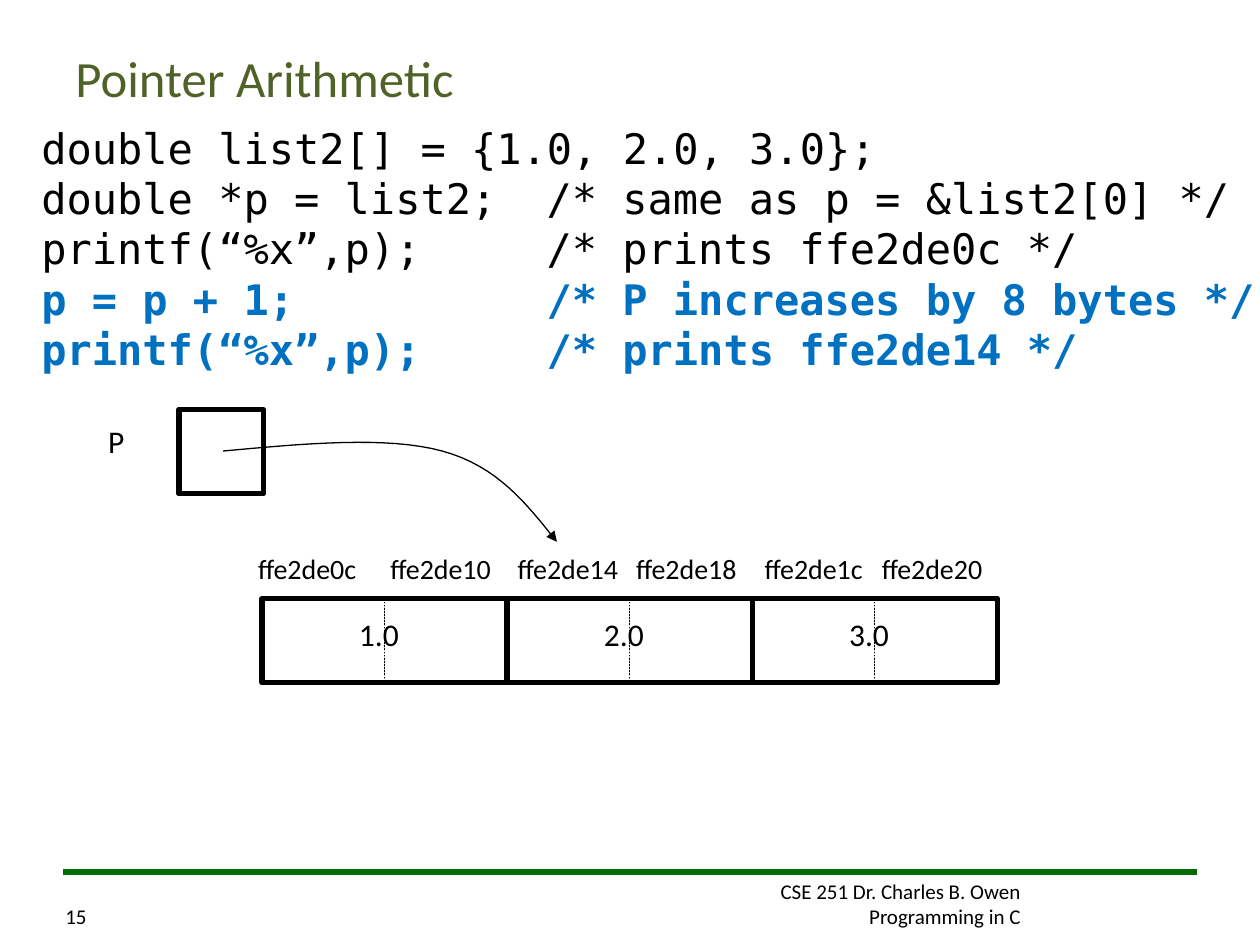
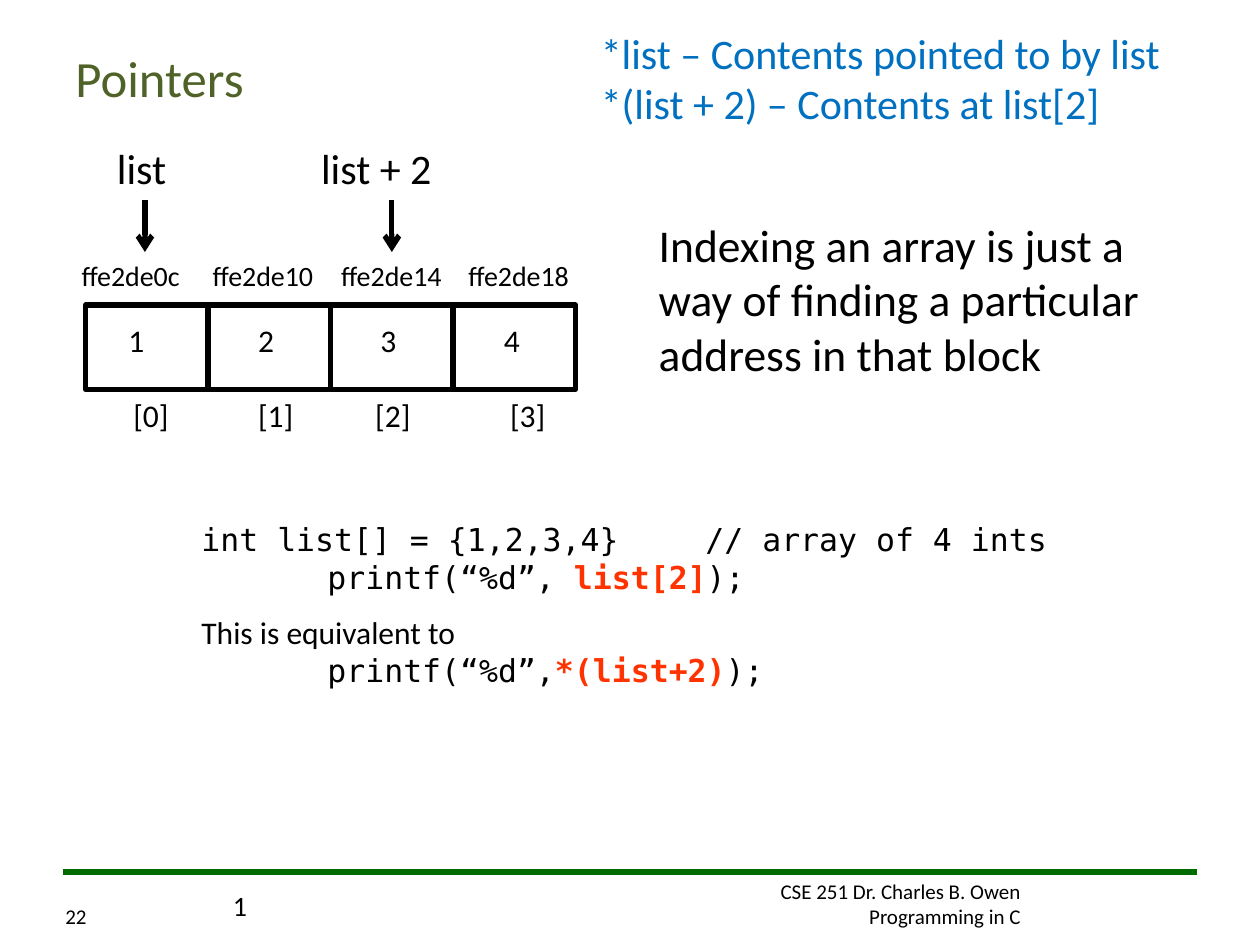
from lxml.etree import SubElement
from pptx import Presentation
from pptx.dml.color import RGBColor
from pptx.enum.dml import MSO_LINE
from pptx.enum.shapes import MSO_CONNECTOR, MSO_SHAPE
from pptx.enum.text import MSO_ANCHOR, PP_ALIGN
from pptx.oxml.ns import qn
from pptx.util import Inches, Pt

COLORS = {"black": "000000", "title": "4F6228", "rule": "006C00",
          "blue": "0070C0", "red": "FF3300", "gray": "C0C0C0"}
SANS, MONO = "Calibri", "DejaVu Sans Mono"
FOOTER = ["CSE 251 Dr. Charles B. Owen", "Programming in C"]

DOUBLE_CODE = [
    ("double list2[] = {1.0, 2.0, 3.0};", False),
    ("double *p = list2;\t/* same as p = &list2[0] */", False),
    ("printf(“%x”,p);\t/* prints ffe2de0c */", False),
    ("p = p + 1;\t/* P increases by 8 bytes */", True),
    ("printf(“%x”,p);\t/* prints ffe2de14 */", True),
]
DOUBLE_VALUES = ["1.0", "2.0", "3.0"]
DOUBLE_ADDRESSES = [("ffe2de0c", 1.95), ("ffe2de10", 3), ("ffe2de14", 4.01),
                    ("ffe2de18", 4.95), ("ffe2de1c", 5.97), ("ffe2de20", 6.9)]
POINTER_CURVE = [
    [(1.77, 3.58), (2.42, 3.52), (3.07, 3.46), (3.51, 3.58)],
    [(3.51, 3.58), (3.95, 3.7), (4.18, 4), (4.42, 4.3)],
]

INT_VALUES = [("1", 0.92), ("2", 1.95), ("3", 2.92), ("4", 3.9)]
INT_INDEXES = [("[0]", 0.96), ("[1]", 1.95), ("[2]", 2.88), ("[3]", 3.95)]
INT_ADDRESSES = [("ffe2de0c", 0.55), ("ffe2de10", 1.59), ("ffe2de14", 2.61), ("ffe2de18", 3.62)]
POINTERS = [("list", 0.83, 1.15), ("list + 2", 2.45, 3.11)]
DEREFERENCES = ["*list – Contents pointed to by list", "*(list + 2) – Contents at list[2]"]
INDEXING = "Indexing an array is just a way of finding a particular address in that block"
INT_CODE = [
    (MONO, 0, [("int list[] = {1,2,3,4}\t// array of 4 ints", False)]),
    (MONO, 0, [("\tprintf(“%d”, ", False), ("list[2]", True), (");", False)]),
    (SANS, 9.7, [("This is equivalent to", False)]),
    (MONO, 0, [("\tprintf(“%d”,", False), ("*(list+2)", True), (");", False)]),
]

CELL_W, CELL_H = 0.97, 0.67
DOUBLE_W = 1.945


def rgb(name):
    return RGBColor.from_string(COLORS[name])


def style(font, size, color="black", name=SANS, bold=False):
    font.size, font.name, font.bold = Pt(size), name, bold
    font.color.rgb = rgb(color)


def set_tabs(p, stops):
    tabs = SubElement(p._p.get_or_add_pPr(), qn("a:tabLst"))
    for stop in stops:
        SubElement(tabs, qn("a:tab"), pos=str(Inches(stop)), algn="l")


def add_frame(slide, x, y, w, h):
    tf = slide.shapes.add_textbox(Inches(x), Inches(y), Inches(w), Inches(h)).text_frame
    tf.word_wrap = True
    return tf


def add_paragraph(tf, first):
    return tf.paragraphs[0] if first else tf.add_paragraph()


def add_text(slide, lines, x, y, w, h, size, color="black", align=PP_ALIGN.LEFT):
    tf = add_frame(slide, x, y, w, h)
    for i, line in enumerate(lines):
        p = add_paragraph(tf, i == 0)
        p.text, p.alignment = line, align
        style(p.font, size, color)
    return tf


def add_labels(slide, labels, y, w, size):
    for text, x in labels:
        add_text(slide, [text], x, y, w, 0.4, size)


def set_line(line, color, width):
    line.color.rgb, line.width = rgb(color), Pt(width)


def add_arrowhead(sp, kind):
    SubElement(sp.line._get_or_add_ln(), qn("a:tailEnd"), type=kind)


def add_box(slide, x, y, w, h, color="black", width=3, dashed=False):
    sp = slide.shapes.add_shape(MSO_SHAPE.RECTANGLE, Inches(x), Inches(y), Inches(w), Inches(h))
    sp.shadow.inherit = False
    sp.fill.background()
    set_line(sp.line, color, width)
    if dashed:
        sp.line.dash_style = MSO_LINE.DASH


def add_line(slide, x1, y1, x2, y2, color="black"):
    sp = slide.shapes.add_connector(MSO_CONNECTOR.STRAIGHT, Inches(x1), Inches(y1),
                                    Inches(x2), Inches(y2))
    set_line(sp.line, color, 3)
    SubElement(sp._element.spPr, qn("a:effectLst"))
    return sp


def bezier(points, steps=16):
    for i in range(steps + 1):
        t = i / steps
        weights = ((1 - t) ** 3, 3 * t * (1 - t) ** 2, 3 * t * t * (1 - t), t ** 3)
        yield tuple(Inches(sum(k * pt[axis] for k, pt in zip(weights, points))) for axis in (0, 1))


def add_curve(slide, segments):
    points = [pt for segment in segments for pt in bezier(segment)]
    builder = slide.shapes.build_freeform(*points[0])
    builder.add_line_segments(points[1:], close=False)
    sp = builder.convert_to_shape()
    sp.shadow.inherit = False
    sp.fill.background()
    set_line(sp.line, "black", 0.75)
    add_arrowhead(sp, "triangle")


def add_base(prs, title, number):
    slide = prs.slides.add_slide(prs.slide_layouts[6])
    add_text(slide, FOOTER, 4.83, 6.92, 3.37, 0.5, 12, align=PP_ALIGN.RIGHT)
    add_line(slide, 9.5, 6.92, 0.5, 6.92, "rule")
    add_text(slide, [number], 0.42, 7.12, 0.5, 0.3, 12)
    tf = add_text(slide, [title], 0.5, 0.3, 9, 0.62, 29, "title")
    tf.vertical_anchor = MSO_ANCHOR.MIDDLE
    return slide


def build_arithmetic(prs):
    slide = add_base(prs, "Pointer Arithmetic", "15")
    tf = add_frame(slide, 0.23, 0.92, 9.9, 2.1)
    for i, (line, marked) in enumerate(DOUBLE_CODE):
        p = add_paragraph(tf, i == 0)
        p.text = line
        set_tabs(p, [4.01])
        style(p.font, 24, "blue" if marked else "black", MONO, marked)

    add_text(slide, ["P"], 0.76, 3.3, 0.4, 0.4, 18)
    add_box(slide, 1.42, 3.25, CELL_H, CELL_H)
    for i, value in enumerate(DOUBLE_VALUES):
        x = 2.08 + i * DOUBLE_W
        add_box(slide, x, 4.75, CELL_W, CELL_H, "gray", 0.25, True)
        add_box(slide, x + CELL_W, 4.75, CELL_W, CELL_H, "black", 0.25, True)
        add_text(slide, [value], x + 0.67, 4.83, 0.92, 0.4, 18)
        add_box(slide, x, 4.75, DOUBLE_W, CELL_H)
    add_labels(slide, DOUBLE_ADDRESSES, 4.33, 1.1, 16)
    add_curve(slide, POINTER_CURVE)


def build_pointers(prs):
    slide = add_base(prs, "Pointers", "22")
    add_text(slide, ["1"], 1.75, 7, 0.4, 0.37, 16)
    add_text(slide, [INDEXING], 5.13, 1.67, 4.04, 1.58, 26)
    add_text(slide, DEREFERENCES, 4.67, 0.17, 4.8, 0.9, 24, "blue")

    for i in range(len(INT_VALUES)):
        add_box(slide, 0.68 + i * 0.973, 2.42, CELL_W, CELL_H)
    add_labels(slide, INT_VALUES, 2.5, 0.5, 18)
    add_labels(slide, INT_INDEXES, 3.09, 0.6, 18)
    add_labels(slide, INT_ADDRESSES, 2, 1.1, 16)
    for name, x, arrow_x in POINTERS:
        add_text(slide, [name], x, 1.08, 1.2, 0.5, 24)
        add_arrowhead(add_line(slide, arrow_x, 1.59, arrow_x, 2), "arrow")

    tf = add_frame(slide, 1.5, 4.08, 7.25, 1.44)
    for i, (face, gap, runs) in enumerate(INT_CODE):
        p = add_paragraph(tf, i == 0)
        p.space_before = Pt(gap)
        set_tabs(p, [1, 4])
        for text, marked in runs:
            r = p.add_run()
            r.text = text
            style(r.font, 18, "red" if marked else "black", face, marked)


def main():
    prs = Presentation()
    prs.slide_width, prs.slide_height = Inches(10), Inches(7.5)
    build_arithmetic(prs)
    build_pointers(prs)
    prs.save("out.pptx")


if __name__ == "__main__":
    main()
